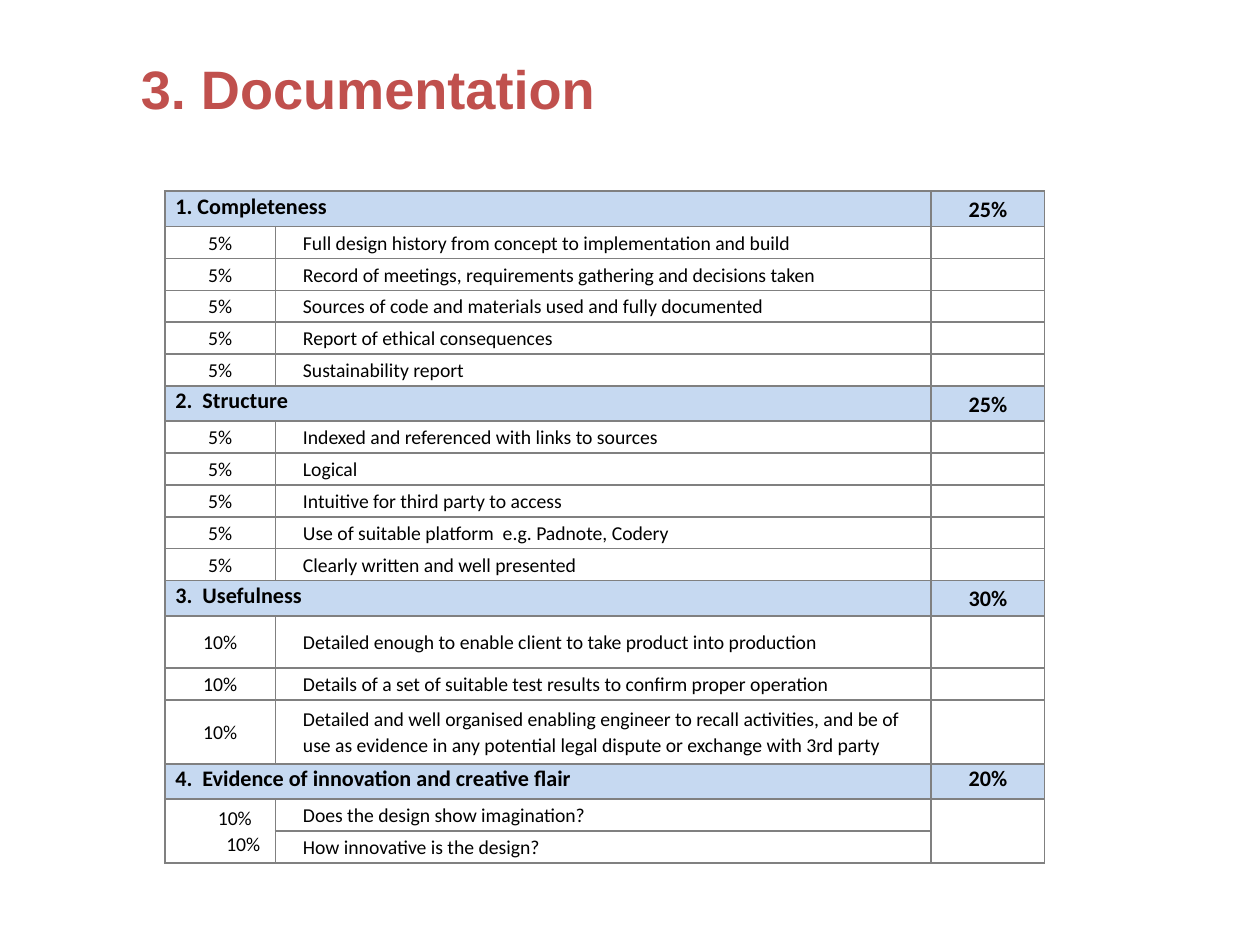
from dataclasses import dataclass
from typing import Any

from lxml.etree import fromstring
from pptx import Presentation
from pptx.dml.color import RGBColor
from pptx.enum.text import MSO_ANCHOR, MSO_AUTO_SIZE, PP_ALIGN
from pptx.oxml.ns import nsdecls
from pptx.util import Inches, Pt

WIDE, HIGH = 14.22, 10.67
BLACK, RED, BLUE, GREY = "000000", "C0504D", "C6D9F1", "808080"
COLS = (8.79, 52.04, 9)
HEAD, LINE = 3.75, 3.37
PAD = 0.42
MID, TOP = MSO_ANCHOR.MIDDLE, MSO_ANCHOR.TOP


@dataclass
class Item:
    mark: str
    text: str
    high: float = LINE


@dataclass
class Part:
    title: str
    mark: str
    items: list[Item]
    anchor: Any = MID
    merged: bool = False


PARTS = [
    Part("1. Completeness", "25%", [
        Item("5%", "Full design history from concept to implementation and build"),
        Item("5%", "Record of meetings, requirements gathering and decisions taken"),
        Item("5%", "Sources of code and materials used and fully documented"),
        Item("5%", "Report of ethical consequences"),
        Item("5%", "Sustainability report"),
    ]),
    Part("2.  Structure", "25%", [
        Item("5%", "Indexed and referenced with links to sources"),
        Item("5%", "Logical"),
        Item("5%", "Intuitive for third party to access"),
        Item("5%", "Use of suitable platform  e.g. Padnote, Codery"),
        Item("5%", "Clearly written and well presented"),
    ]),
    Part("3.  Usefulness", "30%", [
        Item("10%", "Detailed enough to enable client to take product into production", 5.53),
        Item("10%", "Details of a set of suitable test results to confirm proper operation"),
        Item("10%", "Detailed and well organised enabling engineer to recall activities, "
             "and be of use as evidence in any potential legal dispute or exchange "
             "with 3rd party", 6.75),
    ]),
    Part("4.  Evidence of innovation and creative flair", "20%", [
        Item("10%", "Does the design show imagination?"),
        Item("10%", "How innovative is the design?"),
    ], TOP, True),
]


def across(cols: float) -> int:
    return Inches(WIDE * cols / 100)


def down(rows: float) -> int:
    return Inches(HIGH * rows / 100)


def color(code: str) -> RGBColor:
    return RGBColor.from_string(code)


def apply(thing: Any, values: dict[str, Any]) -> None:
    for name, value in values.items():
        setattr(thing, name, value)


def style(para: Any, text: str, face: str, size: int, bold: bool, ink: str) -> None:
    run = para.add_run()
    run.text = text
    apply(run.font, {"name": face, "size": Pt(size), "bold": bold})
    run.font.color.rgb = color(ink)


def frame(cell: Any, fill: str = "") -> None:
    apply(cell, {"margin_left": across(PAD), "margin_right": across(PAD),
                 "margin_top": 0, "margin_bottom": 0})
    props = cell._tc.get_or_add_tcPr()
    for side in "LRTB":
        props.append(fromstring(
            f'<a:ln{side} {nsdecls("a")} w="{Pt(1.5)}"><a:solidFill>'
            f'<a:srgbClr val="{GREY}"/></a:solidFill></a:ln{side}>'))
    if fill:
        cell.fill.solid()
        cell.fill.fore_color.rgb = color(fill)
    else:
        cell.fill.background()


def write(cell: Any, texts: list[str], size: int = 16, bold: bool = False,
          align: Any = PP_ALIGN.LEFT, anchor: Any = MID,
          dents: tuple[float, ...] = (0,)) -> None:
    cell.vertical_anchor = anchor
    for spot, (text, dent) in enumerate(zip(texts, dents)):
        body = cell.text_frame
        para = body.add_paragraph() if spot else body.paragraphs[0]
        apply(para, {"alignment": align, "line_spacing": 1.07})
        para._p.get_or_add_pPr().set("marL", str(across(dent)))
        style(para, text, "Calibri", size, bold, BLACK)


def fill_part(table: Any, row: int, part: Part) -> int:
    for col in range(3):
        frame(table.cell(row, col), BLUE)
    table.rows[row].height = down(HEAD)
    table.cell(row, 0).merge(table.cell(row, 1))
    write(table.cell(row, 0), [part.title], 18, True, anchor=TOP, dents=(PAD,))
    write(table.cell(row, 2), [part.mark], 18, True, PP_ALIGN.CENTER, part.anchor)
    first, last = row + 1, row + len(part.items)
    for row, item in enumerate(part.items, first):
        table.rows[row].height = down(item.high)
        for col in range(3):
            frame(table.cell(row, col))
        write(table.cell(row, 1), [item.text], dents=(1.76,))
        if not part.merged:
            write(table.cell(row, 0), [item.mark], align=PP_ALIGN.CENTER)
    if part.merged:
        for col in (0, 2):
            table.cell(first, col).merge(table.cell(last, col))
        write(table.cell(first, 0), [item.mark for item in part.items],
              align=PP_ALIGN.CENTER, dents=(2.32, 3.66))
    return last + 1


def add_title(slide: Any) -> None:
    title = slide.shapes.title
    apply(title, {"left": across(11.18), "top": down(5.9),
                  "width": across(88), "height": down(6.94)})
    body = title.text_frame
    apply(body, {"margin_left": 0, "margin_right": 0, "margin_top": 0,
                 "margin_bottom": 0, "word_wrap": True,
                 "auto_size": MSO_AUTO_SIZE.NONE, "vertical_anchor": TOP})
    para = body.paragraphs[0]
    para.alignment = PP_ALIGN.LEFT
    style(para, "3. Documentation", "Arial", 44, True, RED)


def add_marks(slide: Any) -> None:
    count = sum(1 + len(part.items) for part in PARTS)
    high = sum(HEAD + sum(item.high for item in part.items) for part in PARTS)
    table = slide.shapes.add_table(count, len(COLS), across(13.08), down(20.24),
                                   across(sum(COLS)), down(high)).table
    apply(table, {"first_row": False, "horz_banding": False})
    for col, wide in zip(table.columns, COLS):
        col.width = across(wide)
    row = 0
    for part in PARTS:
        row = fill_part(table, row, part)


def main() -> None:
    deck = Presentation()
    apply(deck, {"slide_width": Inches(WIDE), "slide_height": Inches(HIGH)})
    slide = deck.slides.add_slide(deck.slide_layouts[5])
    add_title(slide)
    add_marks(slide)
    deck.save("out.pptx")


if __name__ == "__main__":
    main()
